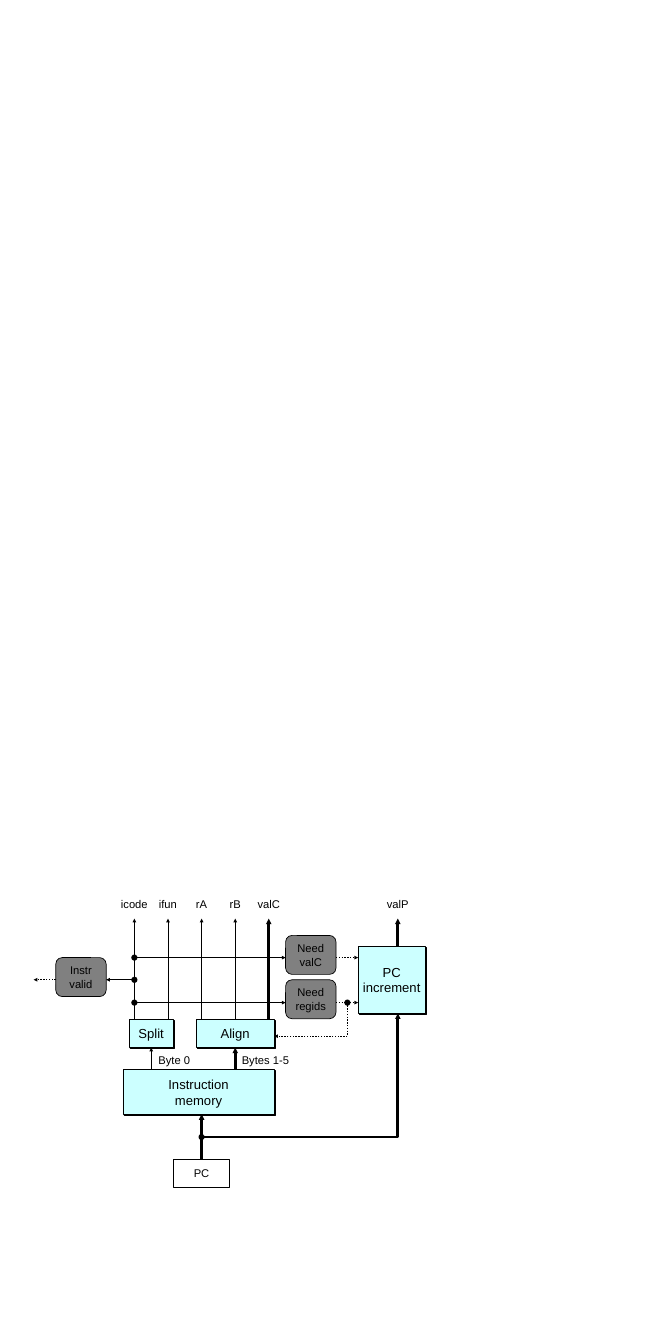
from lxml.etree import SubElement
from pptx import Presentation
from pptx.dml.color import RGBColor
from pptx.enum.dml import MSO_LINE
from pptx.enum.shapes import MSO_CONNECTOR, MSO_SHAPE
from pptx.enum.text import MSO_ANCHOR, MSO_AUTO_SIZE, PP_ALIGN
from pptx.oxml.ns import qn
from pptx.util import Inches, Pt

BLACK = RGBColor(0x00, 0x00, 0x00)
WHITE = RGBColor(0xFF, 0xFF, 0xFF)
CYAN = RGBColor(0xCC, 0xFF, 0xFF)
GRAY = RGBColor(0x80, 0x80, 0x80)

presentation = Presentation()
presentation.slide_width = Inches(10)
presentation.slide_height = Inches(20)
slide = presentation.slides.add_slide(presentation.slide_layouts[6])
shapes = slide.shapes


def write_text(shape, text, size, alignment):
    frame = shape.text_frame
    frame.text = text
    frame.word_wrap = False
    for paragraph in frame.paragraphs:
        paragraph.alignment = alignment
        for name, value in {"name": "Arial", "size": Pt(size)}.items():
            setattr(paragraph.font, name, value)
        paragraph.font.color.rgb = BLACK


def style_wire(shape, width, dotted):
    shape.line.color.rgb = BLACK
    shape.line.width = Pt(width)
    if dotted:
        shape.line.dash_style = MSO_LINE.ROUND_DOT
    SubElement(shape.line._get_or_add_ln(), qn("a:tailEnd"),
               type="triangle", w="sm", len="sm")


# Signal names along the top
for name, center in [("icode", 2), ("ifun", 2.5), ("rA", 3), ("rB", 3.5),
                     ("valC", 4), ("valP", 5.92)]:
    label = shapes.add_shape(MSO_SHAPE.OVAL, Inches(center - 0.25), Inches(13.25),
                             Inches(0.5), Inches(0.42))
    label.shadow.inherit = False
    label.fill.solid()
    label.fill.fore_color.rgb = WHITE
    label.line.fill.background()
    label.text_frame.vertical_anchor = MSO_ANCHOR.MIDDLE
    write_text(label, name, 12, PP_ALIGN.CENTER)

# Hardware units (cyan), control logic (gray) and the PC register (white)
kinds = {
    "unit": (MSO_SHAPE.RECTANGLE, CYAN, 0.75, 14),
    "logic": (MSO_SHAPE.ROUNDED_RECTANGLE, GRAY, 0.75, 12),
    "register": (MSO_SHAPE.RECTANGLE, WHITE, 1, 12),
}
blocks = {}
for text, kind, left, top, width, height in [
    ("Instruction\nmemory", "unit", 1.83, 15.92, 2.25, 0.67),
    ("PC\nincrement", "unit", 5.33, 14.08, 1, 1),
    ("Split", "unit", 1.92, 15.17, 0.66, 0.42),
    ("Align", "unit", 2.92, 15.17, 1.16, 0.42),
    ("Need\nvalC", "logic", 4.25, 13.92, 0.75, 0.58),
    ("Need\nregids", "logic", 4.25, 14.58, 0.75, 0.58),
    ("Instr\nvalid", "logic", 0.83, 14.25, 0.75, 0.58),
    ("PC", "register", 2.58, 17.25, 0.84, 0.42),
]:
    preset, fill, line_width, size = kinds[kind]
    block = shapes.add_shape(preset, Inches(left), Inches(top), Inches(width), Inches(height))
    block.shadow.inherit = False
    block.fill.solid()
    block.fill.fore_color.rgb = fill
    block.line.color.rgb = BLACK
    block.line.width = Pt(line_width)
    block.text_frame.vertical_anchor = MSO_ANCHOR.MIDDLE
    write_text(block, text, size, PP_ALIGN.CENTER)
    if kind == "unit":
        effects = block._element.spPr.find(qn("a:effectLst"))
        shadow = SubElement(effects, qn("a:outerShdw"), dist=str(Pt(1.4)),
                            dir="2700000", algn="ctr", rotWithShape="0")
        SubElement(shadow, qn("a:srgbClr"), val=str(BLACK))
    blocks[text] = block

# Straight wires: start, end, width, dotted, joined block at start, at end
for start, end, width, dotted, source, target in [
    ((2, 15.17), (2, 13.67), 1, False, None, None),
    ((2.5, 15.17), (2.5, 13.67), 1, False, None, None),
    ((3, 15.17), (3, 13.67), 1, False, None, None),
    ((3.5, 15.17), (3.5, 13.67), 1, False, "Align", None),
    ((4, 15.17), (4, 13.67), 3, False, None, None),
    ((5.92, 14.08), (5.92, 13.67), 3, False, None, None),
    ((3, 17.25), (3, 16.58), 3, False, "PC", None),
    ((2.25, 15.92), (2.25, 15.58), 1, False, None, "Split"),
    ((3.5, 15.92), (3.5, 15.58), 3, False, None, "Align"),
    ((2, 14.25), (4.25, 14.25), 1, False, None, None),
    ((2, 14.92), (4.25, 14.92), 1, False, None, None),
    ((2, 14.58), (1.58, 14.58), 1, False, None, None),
    ((0.83, 14.58), (0.5, 14.58), 1.5, True, None, None),
    ((5, 14.25), (5.33, 14.25), 1.5, True, None, None),
    ((5, 14.92), (5.33, 14.92), 1.5, True, None, None),
]:
    wire = shapes.add_connector(MSO_CONNECTOR.STRAIGHT, *map(Inches, start + end))
    if source:
        wire.begin_connect(blocks[source], 0)
    if target:
        wire.end_connect(blocks[target], 2)
    style_wire(wire, width, dotted)
    SubElement(wire._element.spPr, qn("a:effectLst"))

# Bent wires: PC to PC increment, and Need regids to Align
for points, width, dotted in [
    ([(3, 16.92), (5.92, 16.92), (5.92, 15.08)], 3, False),
    ([(5.17, 14.92), (5.17, 15.42), (4.08, 15.42)], 1.5, True),
]:
    corners = [(Inches(x), Inches(y)) for x, y in points]
    builder = shapes.build_freeform(*corners[0])
    builder.add_line_segments(corners[1:], close=False)
    bend = builder.convert_to_shape()
    bend.shadow.inherit = False
    bend.fill.background()
    style_wire(bend, width, dotted)

# Junction dots
for x, y in [(2, 14.25), (2, 14.58), (2, 14.92), (5.17, 14.92), (3, 16.92)]:
    dot = shapes.add_shape(MSO_SHAPE.OVAL, Inches(x - 0.04), Inches(y - 0.04),
                           Inches(0.08), Inches(0.08))
    dot.shadow.inherit = False
    dot.fill.solid()
    dot.fill.fore_color.rgb = BLACK
    dot.line.color.rgb = BLACK
    dot.line.width = Pt(0.75)

# Byte labels beside the memory outputs
for text, left, width in [("Byte 0", 2.26, 0.7), ("Bytes 1-5", 3.5, 1)]:
    caption = shapes.add_textbox(Inches(left), Inches(15.62), Inches(width), Inches(0.3))
    write_text(caption, text, 12, PP_ALIGN.LEFT)
    caption.text_frame.auto_size = MSO_AUTO_SIZE.NONE

presentation.save("out.pptx")
